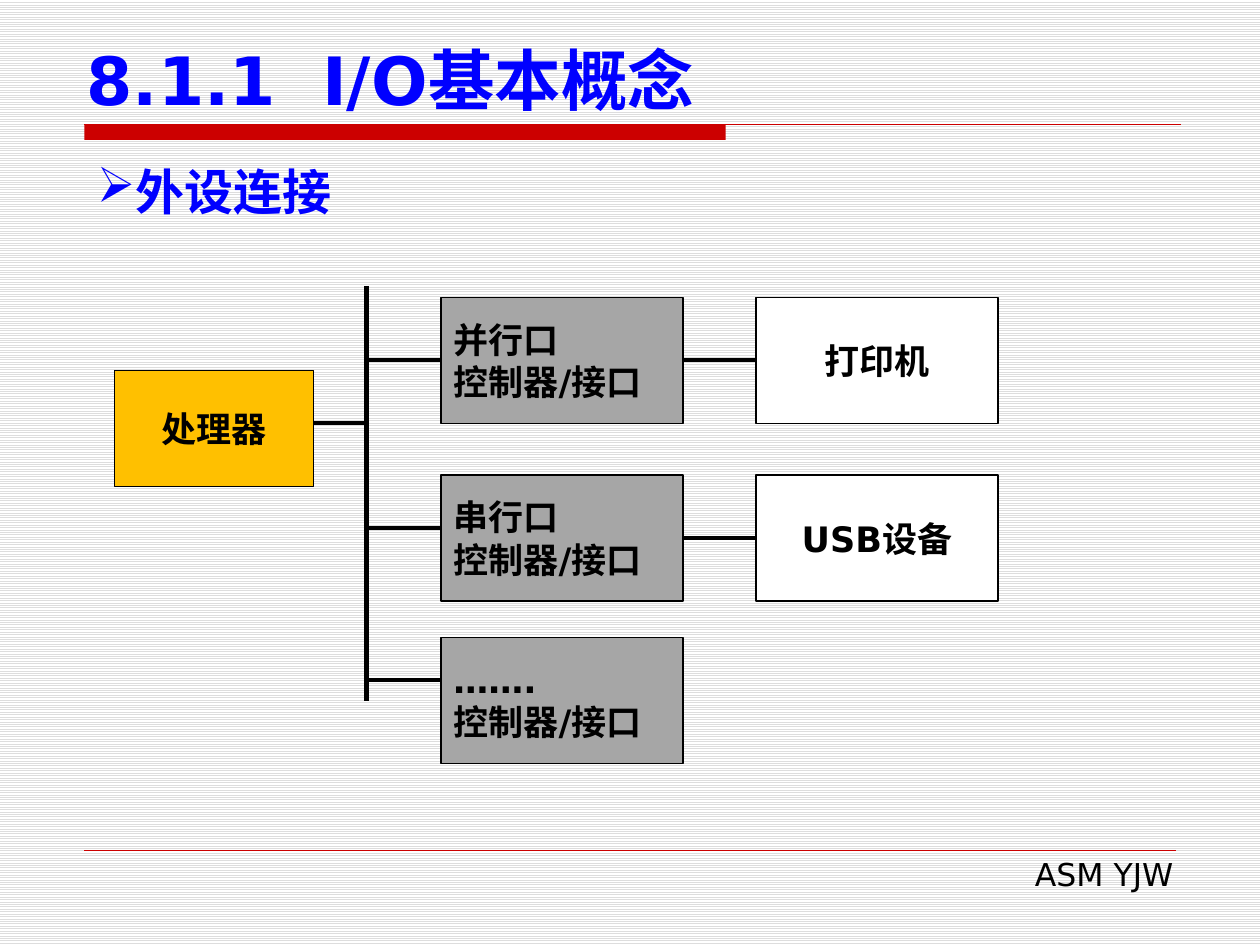
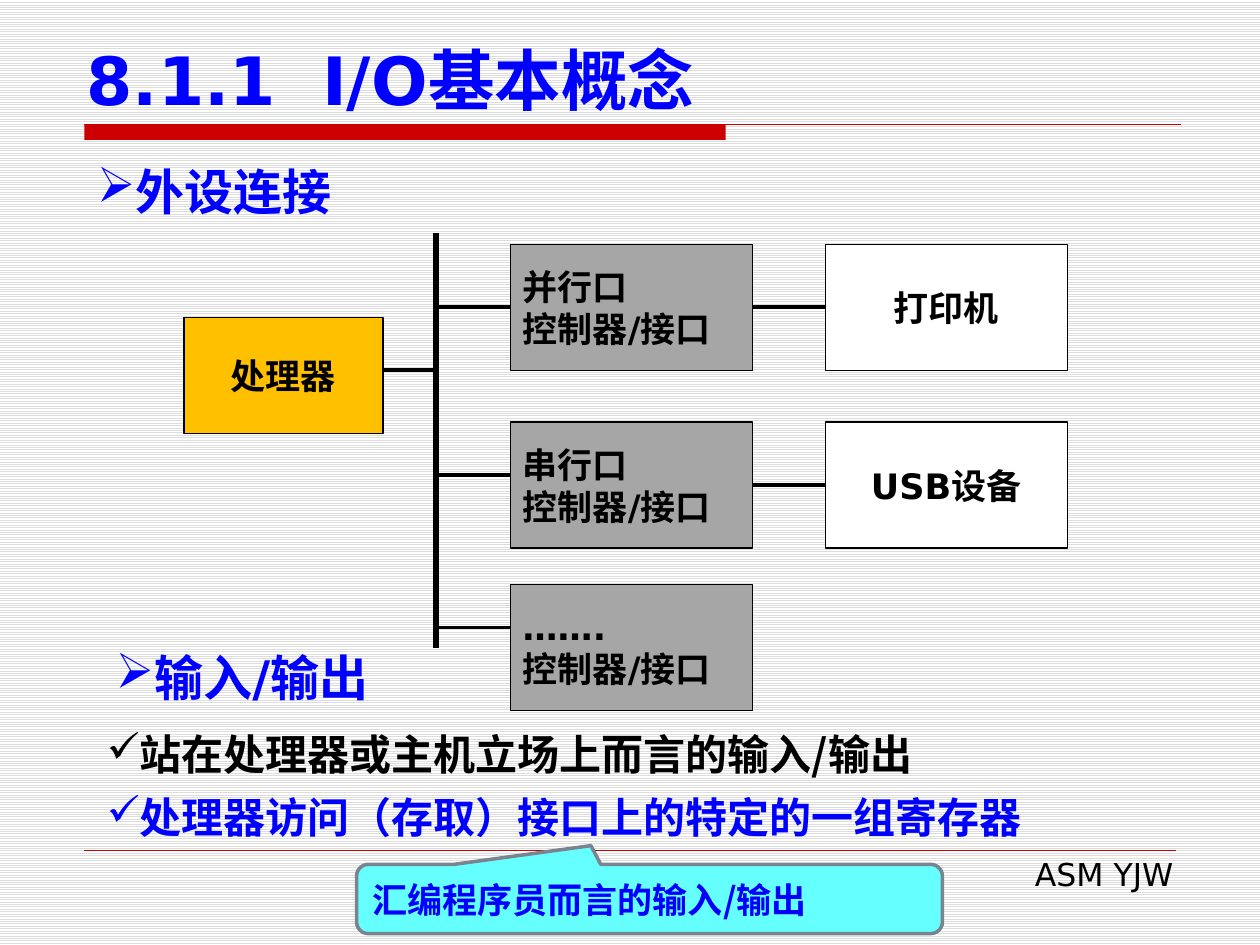
from lxml.etree import SubElement
from pptx import Presentation
from pptx.dml.color import RGBColor
from pptx.enum.dml import MSO_PATTERN as Pattern
from pptx.enum.shapes import MSO_CONNECTOR as Connector, MSO_SHAPE as Shape
from pptx.enum.text import MSO_ANCHOR as Anchor, PP_ALIGN as Align
from pptx.oxml.ns import qn
from pptx.util import Inches, Pt

RED = RGBColor(0xCC, 0x00, 0x00)
BLUE = RGBColor(0x00, 0x00, 0xFF)
BLACK = RGBColor(0x00, 0x00, 0x00)
WHITE = RGBColor(0xFF, 0xFF, 0xFF)
STRIPE = RGBColor(0xDD, 0xDD, 0xDD)
AMBER = RGBColor(0xFF, 0xC0, 0x00)
GRAY = RGBColor(0xA6, 0xA6, 0xA6)
CYAN = RGBColor(0x66, 0xFF, 0xFF)
SLATE = RGBColor(0x79, 0x84, 0x8F)
SANS = "DejaVu Sans"
CJK = "Noto Sans CJK SC"


def write(shape, lines, size, color=BLACK, face=SANS, bold=True,
          align=Align.LEFT, anchor=Anchor.TOP, bullet=None):
    frame = shape.text_frame
    frame.word_wrap = True
    frame.vertical_anchor = anchor
    frame.text = "\n".join(lines)
    for paragraph in frame.paragraphs:
        paragraph.alignment = align
        properties = paragraph._p.get_or_add_pPr()
        if bullet:
            properties.set("marL", "0")
            properties.set("indent", "0")
            SubElement(properties, qn("a:buChar")).set("char", bullet)
        font = paragraph.font
        font.size = Pt(size)
        font.bold = bold
        font.color.rgb = color
        font.name = face
        SubElement(properties.find(qn("a:defRPr")), qn("a:ea")).set("typeface", CJK)
    return frame


def connect(slide, x1, y1, x2, y2, color, width):
    line = slide.shapes.add_connector(
        Connector.STRAIGHT, Inches(x1), Inches(y1), Inches(x2), Inches(y2))
    line.line.color.rgb = color
    line.line.width = Pt(width)
    SubElement(line._element.spPr, qn("a:effectLst"))


prs = Presentation()
prs.slide_width = Inches(10)
prs.slide_height = Inches(7.5)

CONTROLLER = "控制器/接口"
BUS, PORT, PORT_WIDTH, DEVICE = 2.0, 2.59, 1.92, 5.09
blocks = [
    (0, 0.67, 1.58, 0.92, AMBER, ["处理器"], Align.CENTER),
    (PORT, 0.09, PORT_WIDTH, 1, GRAY, ["并行口", CONTROLLER], Align.LEFT),
    (PORT, 1.5, PORT_WIDTH, 1, GRAY, ["串行口", CONTROLLER], Align.LEFT),
    (PORT, 2.79, PORT_WIDTH, 1, GRAY, ["…….", CONTROLLER], Align.LEFT),
    (DEVICE, 0.09, PORT_WIDTH, 1, WHITE, ["打印机"], Align.CENTER),
    (DEVICE, 1.5, PORT_WIDTH, 1, WHITE, ["USB设备"], Align.CENTER),
]
links = [(1.58, BUS, 1.09)]
links += [(BUS, PORT, y) for y in (0.59, 1.92, 3.13)]
links += [(PORT + PORT_WIDTH, DEVICE, y) for y in (0.59, 2.0)]

outline = [
    (0.91, 2.27, [("外设连接", 0.67, 1.23)]),
    (1.46, 1.85, [("外设连接", 0.67, 1.23), ("输入/输出", 0.82, 5.09)]),
]

for left, top, headings in outline:
    slide = prs.slides.add_slide(prs.slide_layouts[6])
    backdrop = slide.background.fill
    backdrop.patterned()
    backdrop.pattern = Pattern.LIGHT_HORIZONTAL
    backdrop.fore_color.rgb = STRIPE
    backdrop.back_color.rgb = WHITE

    title_band = slide.shapes.add_shape(
        Shape.RECTANGLE, Inches(0.67), Inches(0.99), Inches(5.09), Inches(0.12))
    title_band.shadow.inherit = False
    title_band.fill.solid()
    title_band.fill.fore_color.rgb = RED
    title_band.line.fill.background()
    connect(slide, 0.67, 0.99, 9.37, 0.99, RED, 0.75)
    connect(slide, 0.67, 6.75, 9.33, 6.75, RED, 0.25)

    footer = slide.shapes.add_textbox(Inches(3.82), Inches(6.74), Inches(5.59), Inches(0.4))
    write(footer, ["ASM YJW"], 18, bold=False, align=Align.RIGHT)
    title = slide.shapes.add_textbox(Inches(0.59), Inches(0.28), Inches(9.06), Inches(0.71))
    write(title, ["8.1.1  I/O基本概念"], 38, BLUE, anchor=Anchor.BOTTOM)

    for heading, x, y in headings:
        topic = slide.shapes.add_textbox(Inches(x), Inches(y), Inches(8.66), Inches(0.57))
        write(topic, [heading], 28, BLUE, align=Align.JUSTIFY, bullet="➢")

    for x, y, width, height, color, lines, align in blocks:
        block = slide.shapes.add_shape(
            Shape.FLOWCHART_PROCESS, Inches(left + x), Inches(top + y),
            Inches(width), Inches(height))
        block.shadow.inherit = False
        block.fill.solid()
        block.fill.fore_color.rgb = color
        block.line.color.rgb = BLACK
        block.line.width = Pt(0.75)
        write(block, lines, 20, align=align, anchor=Anchor.MIDDLE)

    connect(slide, left + BUS, top, left + BUS, top + 3.29, BLACK, 3)
    for start, end, y in links:
        connect(slide, left + start, top + y, left + end, top + y, BLACK, 2.25)

viewpoints = slide.shapes.add_textbox(Inches(0.75), Inches(5.72), Inches(8.08), Inches(1.03))
viewpoint_frame = write(
    viewpoints,
    ["站在处理器或主机立场上而言的输入/输出", "处理器访问（存取）接口上的特定的一组寄存器"],
    24, face=CJK, bullet="✓")
for viewpoint in viewpoint_frame.paragraphs:
    viewpoint.line_spacing = Pt(30)
register_view = viewpoint_frame.paragraphs[1]
register_view.space_before = Pt(6)
register_view.font.color.rgb = BLUE

programmer_note = slide.shapes.add_shape(
    Shape.ROUNDED_RECTANGULAR_CALLOUT, Inches(2.83), Inches(6.86), Inches(4.65), Inches(0.55))
for index, value in enumerate((-0.1, -0.77, 0.17)):
    programmer_note.adjustments[index] = value
programmer_note.shadow.inherit = False
programmer_note.fill.solid()
programmer_note.fill.fore_color.rgb = CYAN
programmer_note.line.color.rgb = SLATE
programmer_note.line.width = Pt(2)
write(programmer_note, ["汇编程序员而言的输入/输出"], 20, BLUE, CJK, anchor=Anchor.MIDDLE)

prs.save("out.pptx")
